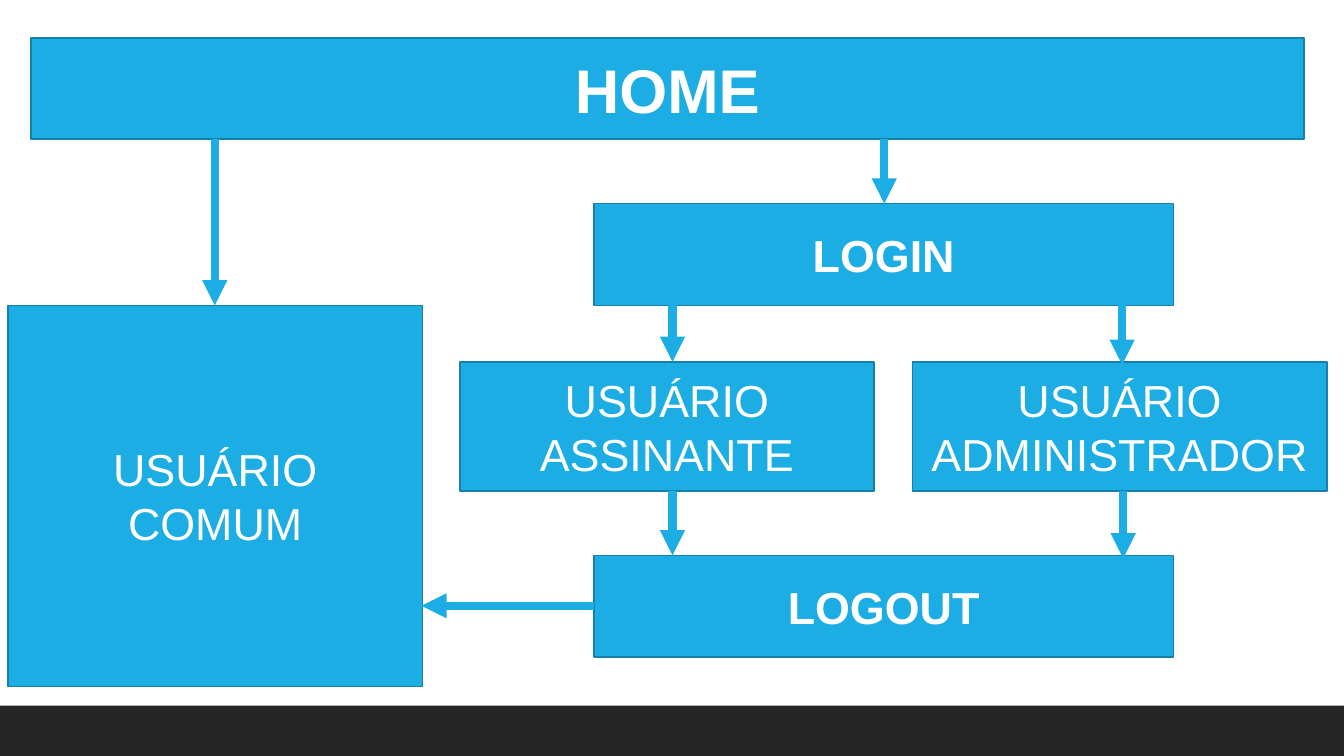
from lxml import etree
from pptx import Presentation
from pptx.dml.color import RGBColor
from pptx.enum.shapes import MSO_CONNECTOR, MSO_SHAPE
from pptx.enum.text import MSO_ANCHOR, PP_ALIGN
from pptx.oxml.ns import qn
from pptx.util import Inches, Pt

RECT = MSO_SHAPE.RECTANGLE
STRAIGHT = MSO_CONNECTOR.STRAIGHT
MIDDLE = MSO_ANCHOR.MIDDLE
CENTER = PP_ALIGN.CENTER

BLUE = RGBColor(0x1C, 0xAD, 0xE4)
DARK_BLUE = RGBColor(0x15, 0x80, 0xA9)
CHARCOAL = RGBColor(0x26, 0x26, 0x26)
WHITE = RGBColor(0xFF, 0xFF, 0xFF)

FONT = "Arial"
SLIDE_W, SLIDE_H = 13.33, 7.5
USER_W, USER_H, USER_TOP = 4.11, 1.28, 3.59
SESSION_LEFT, SESSION_W, SESSION_H = 5.89, 5.75, 1.01

# text, (left, top, width, height), text format
BOXES = [
    ("HOME", (0.31, 0.38, 12.62, 1), {"size": 44, "bold": True}),
    ("USUÁRIO\nCOMUM", (0.08, 3.03, USER_W, 3.78), {}),
    ("USUÁRIO\nASSINANTE", (4.56, USER_TOP, USER_W, USER_H), {}),
    ("USUÁRIO\nADMINISTRADOR", (9.05, USER_TOP, USER_W, USER_H), {}),
    ("LOGIN", (SESSION_LEFT, 2.02, SESSION_W, SESSION_H), {"bold": True}),
    ("LOGOUT", (SESSION_LEFT, 5.51, SESSION_W, SESSION_H), {"bold": True}),
]

# start and end points
ARROWS = [
    ((2.13, 1.38), (2.13, 3.03)),   # home to common user
    ((8.77, 1.38), (8.77, 2.02)),   # home to login
    ((6.67, 2.95), (6.67, 3.59)),   # login to subscriber
    ((11.13, 2.95), (11.13, 3.62)),  # login to administrator
    ((6.67, 4.87), (6.67, 5.51)),   # subscriber to logout
    ((11.14, 4.87), (11.14, 5.54)),  # administrator to logout
    ((5.89, 6.01), (4.18, 6.01)),   # logout to common user
]


def add_rect(s, bounds, fill, line=None):
    """Add a flat rectangle, outlined if a line colour is given."""
    sp = s.shapes.add_shape(RECT, *map(Inches, bounds))
    sp.shadow.inherit = False
    sp.fill.solid()
    sp.fill.fore_color.rgb = fill
    if line is None:
        sp.line.fill.background()
    else:
        sp.line.color.rgb = line
        sp.line.width = Pt(1.25)
    return sp


def set_text(sp, text, size=32, bold=False, color=WHITE):
    """Write centred text, one paragraph for each line."""
    tf = sp.text_frame
    tf.word_wrap = True
    tf.vertical_anchor = MIDDLE
    tf.text = text
    for p in tf.paragraphs:
        p.alignment = CENTER
        for r in p.runs:
            r.font.name = FONT
            r.font.size = Pt(size)
            r.font.bold = bold
            r.font.color.rgb = color


def add_arrow(s, start, end):
    """Add a thick straight arrow pointing at end."""
    cxn = s.shapes.add_connector(STRAIGHT, *map(Inches, start + end))
    cxn.line.color.rgb = BLUE
    cxn.line.width = Pt(6)
    etree.SubElement(cxn.line._get_or_add_ln(), qn("a:tailEnd"), type="triangle")
    etree.SubElement(cxn._element.spPr, qn("a:effectLst"))


def main():
    """Build the site map slide and save it."""
    prs = Presentation()
    prs.slide_width, prs.slide_height = Inches(SLIDE_W), Inches(SLIDE_H)
    s = prs.slides.add_slide(prs.slide_layouts[6])
    add_rect(s, (0, 7, SLIDE_W, 0.5), CHARCOAL)
    for text, bounds, text_format in BOXES:
        set_text(add_rect(s, bounds, BLUE, DARK_BLUE), text, **text_format)
    for start, end in ARROWS:
        add_arrow(s, start, end)
    prs.save("out.pptx")


main()
